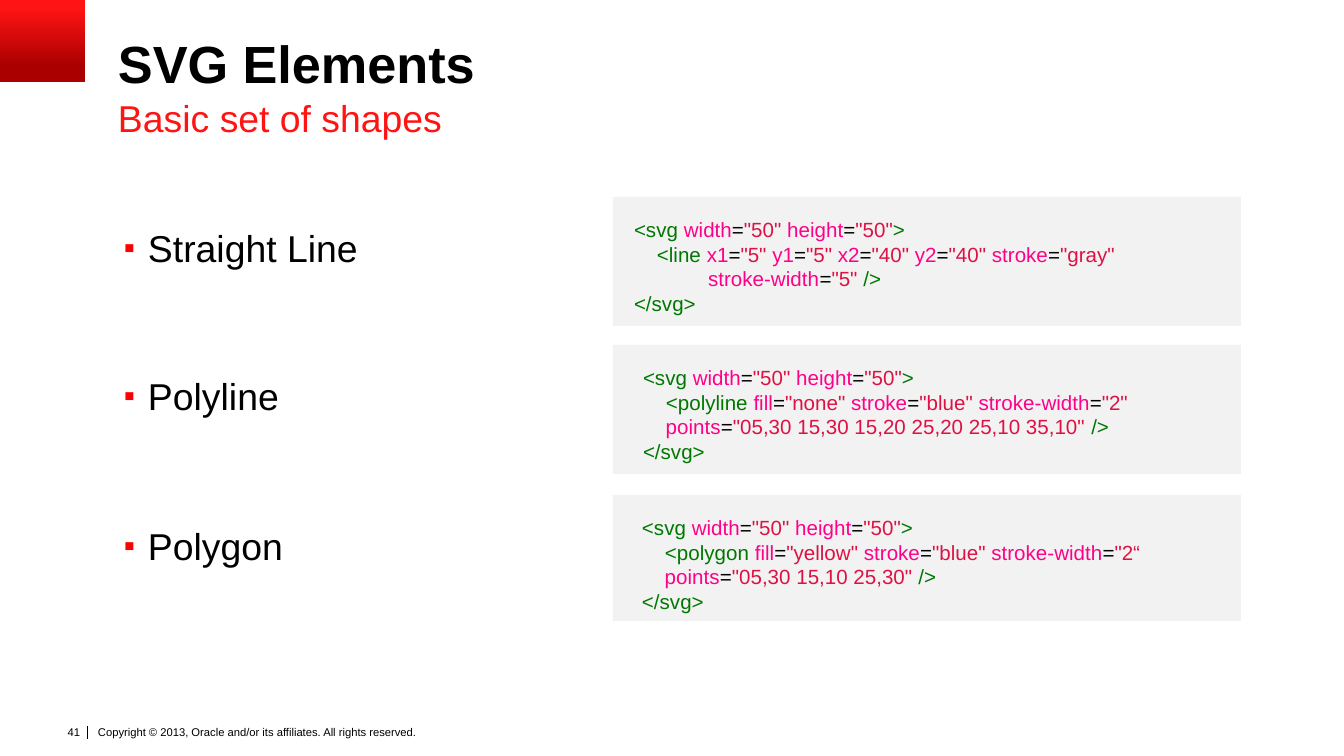
"""Build the slide on basic SVG shapes with a code sample for each."""
from itertools import groupby

from lxml.etree import SubElement
from pptx import Presentation
from pptx.dml.color import RGBColor
from pptx.enum.shapes import MSO_CONNECTOR, MSO_SHAPE
from pptx.enum.text import MSO_ANCHOR, MSO_AUTO_SIZE, PP_ALIGN
from pptx.oxml.ns import qn
from pptx.util import Emu, Pt

TITLE = "SVG Elements"
SUBTITLE = "Basic set of shapes"
PAGE = "41"
COPYRIGHT = "Copyright © 2013, Oracle and/or its affiliates. All rights reserved."
SAMPLES = [
    {"name": "Straight Line", "top": 197, "height": 129, "code_left": 621, "code": [
        '<svg width="50" height="50">',
        '    <line x1="5" y1="5" x2="40" y2="40" stroke="gray"',
        '             stroke-width="5" />',
        '</svg>']},
    {"name": "Polyline", "top": 345, "height": 129, "code_left": 630, "code": [
        '<svg width="50" height="50">',
        '    <polyline fill="none" stroke="blue" stroke-width="2"',
        '    points="05,30 15,30 15,20 25,20 25,10 35,10" />',
        '</svg>']},
    {"name": "Polygon", "top": 495, "height": 126, "code_left": 629, "code": [
        '<svg width="50" height="50">',
        '    <polygon fill="yellow" stroke="blue" stroke-width="2“',
        '    points="05,30 15,10 25,30" />',
        '</svg>']},
]

BLACK = RGBColor(0x00, 0x00, 0x00)
RED = RGBColor(0xFF, 0x14, 0x14)
DARK_RED = RGBColor(0xAA, 0x00, 0x00)
PANEL_GRAY = RGBColor(0xF2, 0xF2, 0xF2)
TAG = RGBColor(0x00, 0x77, 0x00)
ATTRIBUTE = RGBColor(0xFF, 0x00, 0x88)
VALUE = RGBColor(0xDD, 0x11, 0x44)

PX = 914400 / 134.4
PANEL_LEFT, PANEL_WIDTH = 613, 628
CODE_DROP, NAME_DROP = 13, 28


def px(*lengths):
    return [Emu(round(length * PX)) for length in lengths]


def style(target, **values):
    for key, value in values.items():
        setattr(target, key, value)


def write(paragraph, text, size, color=BLACK, bold=False):
    run = paragraph.add_run()
    run.text = text
    style(run.font, name="Arial", size=Pt(size), bold=bold)
    run.font.color.rgb = color


def set_frame(frame, margins=(0, 0), anchor=MSO_ANCHOR.TOP, wrap=True):
    across, down = px(*margins)
    style(frame, margin_left=across, margin_right=across, margin_top=down,
          margin_bottom=down, vertical_anchor=anchor, word_wrap=wrap,
          auto_size=MSO_AUTO_SIZE.NONE)
    return frame


def place(holder, box, **frame_values):
    for side, length in zip(("left", "top", "width", "height"), px(*box)):
        setattr(holder, side, length)
    paragraph = set_frame(holder.text_frame, **frame_values).paragraphs[0]
    style(paragraph, alignment=PP_ALIGN.LEFT, space_before=Pt(0))
    return paragraph


def set_bullet(paragraph, left=0, hanging=0, char=None):
    properties = paragraph._p.get_or_add_pPr()
    properties.set("marL", str(px(left)[0]))
    properties.set("indent", str(px(-hanging)[0]))
    if char is None:
        SubElement(properties, qn("a:buNone"))
        return
    color = SubElement(properties, qn("a:buClr"))
    SubElement(color, qn("a:srgbClr"), val="FF0000")
    SubElement(properties, qn("a:buSzPct"), val="85000")
    SubElement(properties, qn("a:buFont"), typeface="Arial")
    SubElement(properties, qn("a:buChar"), char=char)


def colored_chars(line):
    color, in_tag, in_value = ATTRIBUTE, False, False
    for char in line:
        if char in '"“':
            color, in_value = VALUE, not in_value
        elif in_value:
            color = VALUE
        elif char in "</>":
            color, in_tag = TAG, True
        elif char == "=":
            color = BLACK
        elif char == " ":
            in_tag = False
        else:
            color = TAG if in_tag else ATTRIBUTE
        yield color, char


def add_rect(slide, box):
    rect = slide.shapes.add_shape(MSO_SHAPE.RECTANGLE, *px(*box))
    rect.shadow.inherit = False
    rect.line.fill.background()
    return rect


def add_text(slide, box, **frame_values):
    return set_frame(slide.shapes.add_textbox(*px(*box)).text_frame, **frame_values)


def add_footer(slide):
    note = add_text(slide, (93, 722, 368, 32), margins=(5, 3))
    write(note.paragraphs[0], COPYRIGHT, 6)
    divider = slide.shapes.add_connector(MSO_CONNECTOR.STRAIGHT, *px(87, 726, 87, 739))
    divider.line.color.rgb = BLACK
    divider.line.width = Pt(0.5)
    SubElement(divider._element.spPr, qn("a:effectLst"))
    number = add_text(slide, (52, 718, 41, 27), margins=(13, 7), wrap=False).paragraphs[0]
    number.alignment = PP_ALIGN.RIGHT
    write(number, PAGE, 6)


def add_corner(slide):
    fill = add_rect(slide, (0, 0, 85, 82)).fill
    fill.gradient()
    fill.gradient_angle = 90
    for stop, position, color in zip(fill.gradient_stops, (0.2, 0.9), (DARK_RED, RED)):
        stop.position = position
        stop.color.rgb = color


def add_sample(slide, sample, holder):
    top = sample["top"]
    name = place(holder, (114, top + NAME_DROP, 251, 71))
    set_bullet(name, 34, 24, "▪")
    name.space_after = Pt(6)
    write(name, sample["name"], 20)

    panel = add_rect(slide, (PANEL_LEFT, top, PANEL_WIDTH, sample["height"]))
    panel.fill.solid()
    panel.fill.fore_color.rgb = PANEL_GRAY
    code = add_text(slide, (sample["code_left"], top + CODE_DROP, 600, 113), margins=(13, 7))
    for index, line in enumerate(sample["code"]):
        paragraph = code.add_paragraph() if index else code.paragraphs[0]
        for color, chars in groupby(colored_chars(line), key=lambda pair: pair[0]):
            write(paragraph, "".join(char for _, char in chars), 11, color)


def main():
    deck = Presentation()
    deck.slide_width, deck.slide_height = px(1344, 756)
    slide = deck.slides.add_slide(deck.slide_layouts.get_by_name("Comparison"))
    heading, subheading, *names = list(slide.placeholders)[:5]

    add_footer(slide)
    add_corner(slide)
    title = place(heading, (118, 36, 1210, 59), anchor=MSO_ANCHOR.BOTTOM)
    title.line_spacing = 0.9
    write(title, TITLE, 28, bold=True)
    subtitle = place(subheading, (118, 95, 1210, 44))
    set_bullet(subtitle)
    write(subtitle, SUBTITLE, 20, RED)
    for sample, holder in zip(SAMPLES, names):
        add_sample(slide, sample, holder)
    deck.save("out.pptx")


if __name__ == "__main__":
    main()
